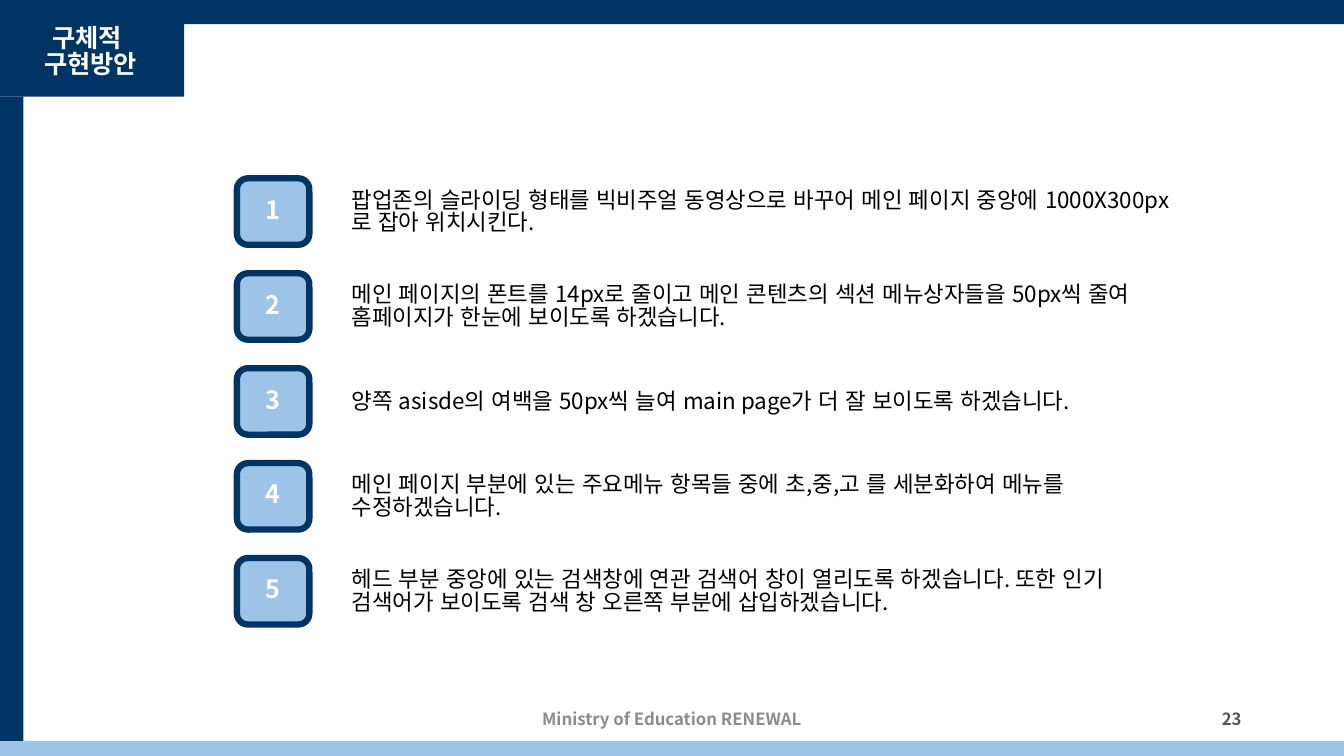
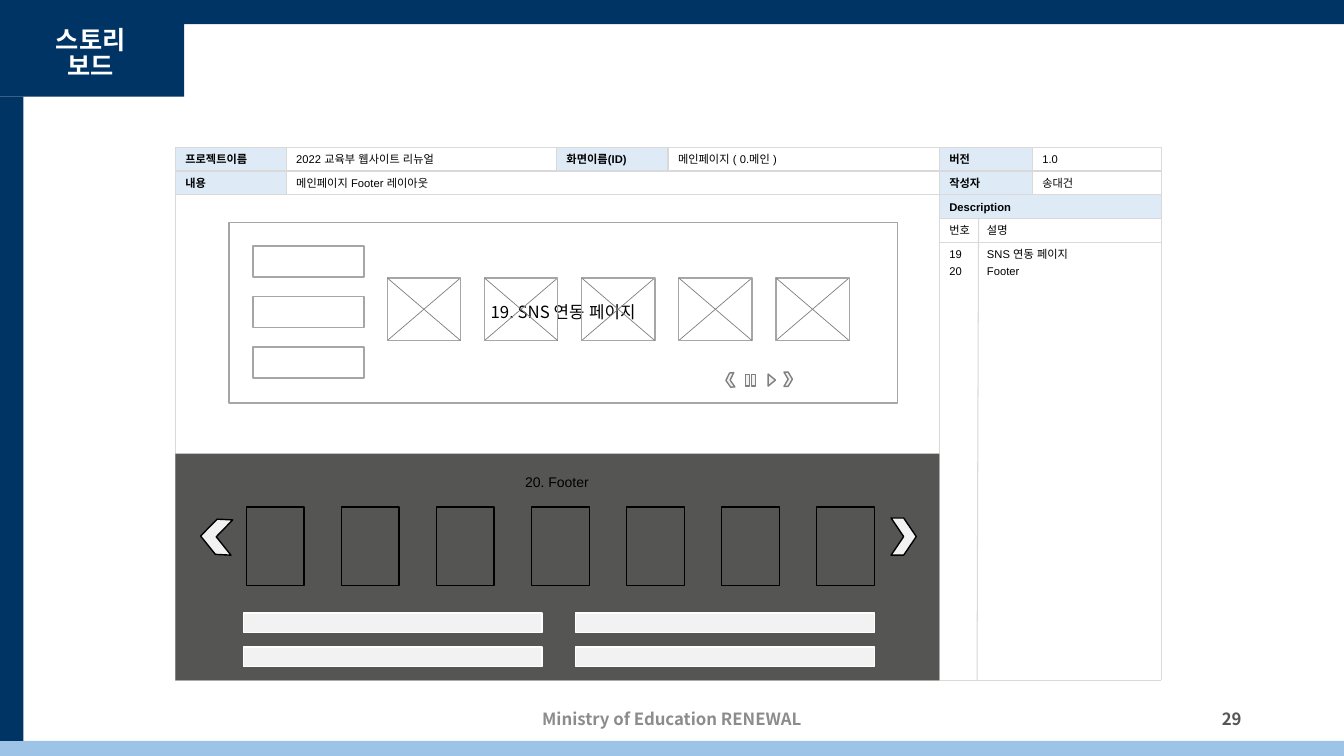
from lxml.etree import SubElement
from pptx import Presentation
from pptx.dml.color import RGBColor
from pptx.enum.lang import MSO_LANGUAGE_ID
from pptx.enum.shapes import MSO_CONNECTOR, MSO_SHAPE
from pptx.enum.text import MSO_ANCHOR, PP_ALIGN
from pptx.oxml.ns import qn
from pptx.util import Pt

NAVY, SKY, PALE = "003464", "9DC3E6", "DEEBF7"
WHITE, BLACK, DARK, LIGHT = "FFFFFF", "000000", "555554", "F2F2F2"
RULE, OUTLINE, CROSS = "D9D9D9", "A6A6A6", "808080"
NOTO, ARIAL = "Noto Sans CJK KR", "Arial"
LEFT, CENTER, RIGHT = PP_ALIGN.LEFT, PP_ALIGN.CENTER, PP_ALIGN.RIGHT


def box(s, x, y, w, h, text="", shape=MSO_SHAPE.RECTANGLE, fill=None, line=None,
        weight=1, rotation=0, font=NOTO, size=12, color=BLACK, bold=False, align=CENTER):
    """Add a preset shape, or a text box when shape is None; lengths in points."""
    frame = Pt(x), Pt(y), Pt(w), Pt(h)
    if shape is None:
        sp = s.shapes.add_textbox(*frame)
    else:
        sp = s.shapes.add_shape(shape, *frame)
        sp.shadow.inherit = False
        sp.rotation = rotation
        for part, paint in ((sp.fill, fill), (sp.line.fill, line)):
            if paint:
                part.solid()
                part.fore_color.rgb = RGBColor.from_string(paint)
            else:
                part.background()
        if line:
            sp.line.width = Pt(weight)
    if text:
        tf = sp.text_frame
        tf.word_wrap = True
        tf.vertical_anchor = MSO_ANCHOR.MIDDLE
        for i, part in enumerate(text.split("\n")):
            p = tf.add_paragraph() if i else tf.paragraphs[0]
            p.alignment = align
            if font == NOTO:
                p.line_spacing = 0.84
            r = p.add_run()
            r.text = part
            r.font.name, r.font.size, r.font.bold = font, Pt(size), bold
            r.font.color.rgb = RGBColor.from_string(color)
            r.font.language_id = MSO_LANGUAGE_ID.KOREAN
            SubElement(r.font._element, qn("a:ea")).set("typeface", NOTO)
    return sp


def rule(s, x1, y1, x2, y2, color=RULE, weight=0.75):
    """Add a straight line between two points."""
    c = s.shapes.add_connector(MSO_CONNECTOR.STRAIGHT, Pt(x1), Pt(y1), Pt(x2), Pt(y2))
    c.line.color.rgb = RGBColor.from_string(color)
    c.line.width = Pt(weight)
    SubElement(c._element.spPr, qn("a:effectLst"))


prs = Presentation()
prs.slide_width, prs.slide_height = Pt(960), Pt(540)

# Frame, title and footer of every slide
bands = [(0, 0, 960, 17.2, NAVY), (0, 529.2, 960, 10.8, SKY),
         (0, 69, 16.7, 460.2, NAVY), (0, 0, 131.6, 69, NAVY)]
slides = []
for title, title_top, number in [("구체적 \n구현방안", 12.2, "23"), ("스토리\n보드", 13.7, "29")]:
    s = prs.slides.add_slide(prs.slide_layouts[6])
    for x, y, w, h, fill in bands:
        box(s, x, y, w, h, fill=fill)
    box(s, 318, 500.5, 324, 28.8, "Ministry of Education RENEWAL", shape=None,
        color="8C8C8C", bold=True)
    box(s, 678, 500.5, 216, 28.8, number, shape=None, color=DARK, bold=True, align=RIGHT)
    box(s, 0, title_top, 129.6, 51, title, shape=None, size=18, color=WHITE, bold=True)
    slides.append(s)
plan, board = slides

# Implementation plan
steps = [
    "팝업존의 슬라이딩 형태를 빅비주얼 동영상으로 바꾸어 메인 페이지 중앙에 1000X300px로 잡아 위치시킨다.",
    "메인 페이지의 폰트를 14px로 줄이고 메인 콘텐츠의 섹션 메뉴상자들을 50px씩 줄여 홈페이지가 한눈에 보이도록 하겠습니다.",
    "양쪽 asisde의 여백을 50px씩 늘여 main page가 더 잘 보이도록 하겠습니다.",
    "메인 페이지 부분에 있는 주요메뉴 항목들 중에 초,중,고 를 세분화하여 메뉴를 수정하겠습니다.",
    "헤드 부분 중앙에 있는 검색창에 연관 검색어 창이 열리도록 하겠습니다. 또한 인기 검색어가 보이도록 검색 창 오른쪽 부분에 삽입하겠습니다.",
]
for i, step in enumerate(steps):
    y = 127.4 + 67.8 * i
    box(plan, 169.2, y, 51.8, 47.5, str(i + 1), shape=MSO_SHAPE.ROUNDED_RECTANGLE,
        fill=SKY, line=NAVY, weight=4.5, size=18, color=WHITE, bold=True)
    box(plan, 244.1, y + 0.7, 602.6, 47.5, step, shape=None, size=16, align=LEFT)

# Storyboard header: left, right, row, text, is a label
left, side, right, bottom = 125.3, 671, 829.4, 486
header = [
    (left, 204.5, 0, "프로젝트이름", True), (204.5, 397.6, 0, "2022 교육부 웹사이트 리뉴얼", False),
    (397.6, 477.2, 0, "화면이름(ID)", True), (477.2, side, 0, "메인페이지 ( 0.메인 )", False),
    (side, 737.5, 0, "버전", True), (737.5, right, 0, "1.0", False),
    (left, 204.5, 1, "내용", True), (204.5, side, 1, "메인페이지 Footer 레이아웃", False),
    (side, 737.5, 1, "작성자", True), (737.5, right, 1, "송대건", False),
    (side, right, 2, "Description", True),
]
for x1, x2, row, text, label in header:
    box(board, x1, 105.2 + 17 * row, x2 - x1, 16.9, text, fill=PALE if label else None,
        line=RULE, weight=0.75, font=ARIAL, size=8, bold=label, align=LEFT)

# Description column
for y, number, text in [(155.9, "번호", "설명"), (172.7, "19", "SNS 연동 페이지"),
                        (185.3, "20", "Footer")]:
    box(board, side, y, 32.4, 17, number, shape=None, font=ARIAL, size=8, align=LEFT)
    box(board, 697.9, y, 131.6, 17, text, shape=None, font=ARIAL, size=8, align=LEFT)
for x1, y1, x2, y2 in [(699, 155.9, 697.9, bottom), (right, 139, right, bottom),
                       (left, bottom, right, bottom), (side, 173.4, right, 173.4),
                       (side, 139, side, bottom), (left, 139, left, bottom)]:
    rule(board, x1, y1, x2, y2)

# SNS panel
box(board, left, 324, side - left, bottom - 324, fill=DARK)
box(board, 163.6, 159.1, 477.4, 128.9, "19. SNS 연동 페이지", line=OUTLINE)
for i in range(5):
    x, y, w, h = 276.6 + 69.4 * i, 198.5, 52.4, 44.8
    rule(board, x, y + h, x + w, y, CROSS, 0.5)
    box(board, x, y, w, h, line=OUTLINE)
    rule(board, x, y, x + w, y + h, CROSS, 0.5)
for i in range(3):
    box(board, 180.8, 175.7 + 36.1 * i, 79.2, 22.2, line=OUTLINE)

# Footer panel
box(board, 331.9, 334.8, 131.8, 19.4, "20. Footer", shape=None, font=ARIAL, size=10)
for i in range(7):
    box(board, 175.9, 362.2, 41.3, 56.2, line=BLACK).left = Pt(175.9 + 67.9 * i)
for x in (173.9, 411.3):
    for y in (437.9, 462.2):
        box(board, x, y, 213.4, 13.8, fill=LIGHT, line=WHITE)

# Player controls and footer arrows
for shape, x, y, w, h, rotation, line in [
    (MSO_SHAPE.CHEVRON, 560, 265.8, 6, 10.2, 0, CROSS),
    (MSO_SHAPE.CHEVRON, 518.5, 266.4, 6, 10.2, 175.3, CROSS),
    (MSO_SHAPE.MATH_EQUAL, 530.4, 265.5, 11.5, 12.2, 90, CROSS),
    (MSO_SHAPE.ISOSCELES_TRIANGLE, 547, 268.9, 8.6, 5.2, 90, CROSS),
    (MSO_SHAPE.CHEVRON, 636.5, 370, 18, 26.6, 0, BLACK),
    (MSO_SHAPE.CHEVRON, 143.3, 370.8, 22.3, 25.2, 182.8, BLACK),
]:
    box(board, x, y, w, h, shape=shape, fill=LIGHT, line=line, rotation=rotation)

prs.save("out.pptx")
